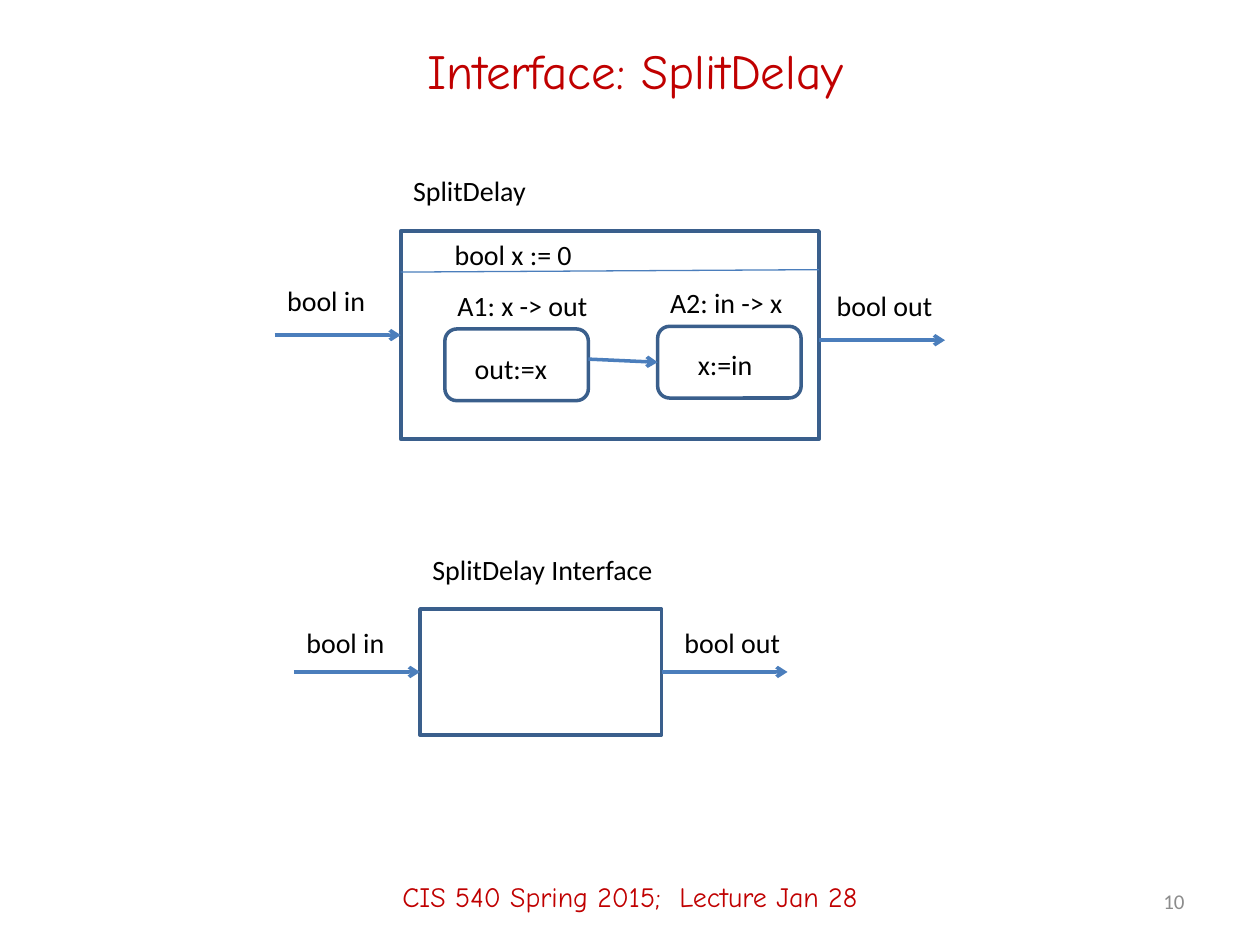
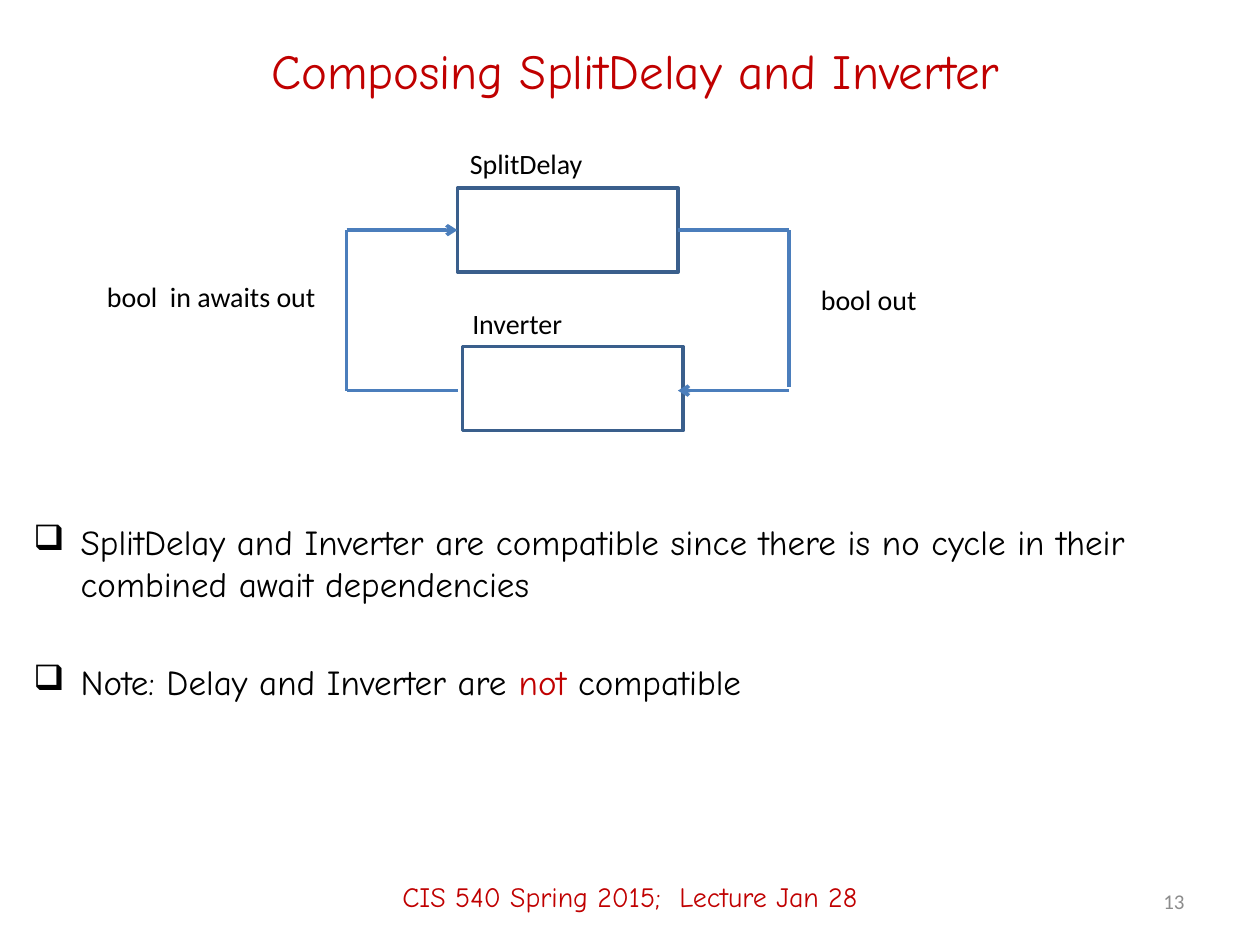
from lxml.etree import SubElement
from pptx import Presentation
from pptx.dml.color import RGBColor
from pptx.enum.shapes import MSO_CONNECTOR, MSO_SHAPE
from pptx.enum.text import MSO_ANCHOR, PP_ALIGN
from pptx.oxml.ns import qn
from pptx.util import Pt

COLORS = {"red": "C00000", "black": "000000", "gray": "8C8C8C",
          "outline": "3A5F8C", "wire": "4B7EBC"}
FORMATS = {
    "title": {"name": "Comic Neue", "size": Pt(28)},
    "body": {"name": "Comic Neue", "size": Pt(20)},
    "footer": {"name": "Comic Neue", "size": Pt(16)},
    "label": {"name": "Calibri", "size": Pt(16)},
    "number": {"name": "Calibri", "size": Pt(12)},
}
FOOTER = "CIS 540 Spring 2015;  Lecture Jan 28"
TOP, LEFT, BOTTOM, RIGHT = range(4)
LABEL_HEIGHT = 26.6
BULLET_INDENT = 27


def color(name):
    return RGBColor.from_string(COLORS[name])


def add_run(paragraph, text, style, color_name="black"):
    run = paragraph.add_run()
    run.text = text
    for attribute, value in FORMATS[style].items():
        setattr(run.font, attribute, value)
    run.font.color.rgb = color(color_name)


def add_text(slide, box, text, style, color_name="black", align=PP_ALIGN.LEFT,
             anchor=MSO_ANCHOR.MIDDLE, wrap=True):
    shape = slide.shapes.add_textbox(*map(Pt, box))
    frame = shape.text_frame
    frame.word_wrap = wrap
    frame.vertical_anchor = anchor
    frame.paragraphs[0].alignment = align
    add_run(frame.paragraphs[0], text, style, color_name)


def add_label(slide, left, top, width, text):
    add_text(slide, (left, top, width, LABEL_HEIGHT), text, "label",
             anchor=MSO_ANCHOR.TOP, wrap=False)


def add_block(slide, left, top, width, height, kind=MSO_SHAPE.RECTANGLE):
    shape = slide.shapes.add_shape(kind, *map(Pt, (left, top, width, height)))
    shape.shadow.inherit = False
    shape.fill.background()
    shape.line.color.rgb = color("outline")
    shape.line.width = Pt(2)
    return shape


def add_wire(slide, begin, end, arrow=False, width=2, begin_joint=None, end_joint=None):
    """Draw a line between two points; a joint is a (shape, side) pair."""
    wire = slide.shapes.add_connector(MSO_CONNECTOR.STRAIGHT, *map(Pt, begin + end))
    if begin_joint:
        wire.begin_connect(*begin_joint)
    if end_joint:
        wire.end_connect(*end_joint)
    wire.line.color.rgb = color("wire")
    wire.line.width = Pt(width)
    if arrow:
        SubElement(wire.line._get_or_add_ln(), qn("a:tailEnd"), type="arrow")
    SubElement(wire._element.spPr, qn("a:effectLst"))


def add_bullets(slide, box, items, gap):
    """Write checkbox bullets; each item is a list of (text, color) runs."""
    frame = slide.shapes.add_textbox(*map(Pt, box)).text_frame
    frame.word_wrap = True
    for index, runs in enumerate(items):
        paragraph = frame.add_paragraph() if index else frame.paragraphs[0]
        properties = paragraph._p.get_or_add_pPr()
        properties.set("marL", str(Pt(BULLET_INDENT)))
        properties.set("indent", str(-Pt(BULLET_INDENT)))
        SubElement(properties, qn("a:buChar"), char="❑")
        if index:
            paragraph.space_before = Pt(gap)
        for text, color_name in runs:
            add_run(paragraph, text, "body", color_name)


def add_base_slide(presentation, title, number):
    slide = presentation.slides.add_slide(presentation.slide_layouts[6])
    add_text(slide, (54, 12, 618, 56), title, "title", "red", PP_ALIGN.CENTER)
    add_text(slide, (0, 484, 720, 56), FOOTER, "footer", "red", PP_ALIGN.CENTER)
    add_text(slide, (516, 500.4, 168, 28.8), str(number), "number", "gray", PP_ALIGN.RIGHT)
    return slide


def add_interface_slide(presentation):
    slide = add_base_slide(presentation, "Interface: SplitDelay", 10)

    component = add_block(slide, 229, 132, 239, 119)
    add_wire(slide, (157, 191.5), (229, 191.5), arrow=True, end_joint=(component, LEFT))
    add_wire(slide, (468, 194.4), (540, 194.4), arrow=True)
    add_wire(slide, (229, 155.5), (468, 154.1), width=0.75)
    task_out = add_block(slide, 254.2, 188, 82, 41, MSO_SHAPE.ROUNDED_RECTANGLE)
    task_in = add_block(slide, 375.8, 186.5, 82, 41, MSO_SHAPE.ROUNDED_RECTANGLE)
    add_wire(slide, (336.2, 205.2), (375.8, 207), arrow=True, end_joint=(task_in, LEFT))

    interface = add_block(slide, 240, 348, 138, 72)
    add_wire(slide, (168, 384), (240, 384), arrow=True, end_joint=(interface, LEFT))
    add_wire(slide, (378, 384), (450, 384), arrow=True, begin_joint=(interface, RIGHT))

    for label in [
        (229, 95.8, 80, "SplitDelay"),
        (252.7, 132, 82, "bool x := 0"),
        (157, 158.4, 60, "bool in"),
        (471, 161.5, 70, "bool out"),
        (254.2, 161.5, 90, "A1: x -> out"),
        (375.8, 159.8, 79, "A2: in -> x"),
        (264.2, 197.5, 60, "out:=x"),
        (391.7, 195.1, 50, "x:=in"),
        (240, 312, 142, "SplitDelay Interface"),
        (168, 354, 60, "bool in"),
        (384, 354, 70, "bool out"),
    ]:
        add_label(slide, *label)


def add_composition_slide(presentation):
    slide = add_base_slide(presentation, "Composing SplitDelay and Inverter", 13)

    left, right, upper, lower = 198, 451, 131.5, 223.2
    split_delay = add_block(slide, 261.4, 107.4, 126, 48.2)
    add_block(slide, 264.2, 198, 126, 48.2)
    add_wire(slide, (left, upper), (261.4, upper), arrow=True, end_joint=(split_delay, LEFT))
    add_wire(slide, (387.4, upper), (right, upper), begin_joint=(split_delay, RIGHT))
    add_wire(slide, (left, upper), (left, lower))
    add_wire(slide, (right, upper), (right, 221))
    add_wire(slide, (right, lower), (387.4, lower), arrow=True)
    add_wire(slide, (left, lower), (262, lower))

    for label in [
        (261.4, 80, 80, "SplitDelay"),
        (262.8, 171.4, 67, "Inverter"),
        (462, 157.7, 168, "bool out"),
        (54, 156.2, 135.4, "bool  in awaits out"),
    ]:
        add_label(slide, *label)

    add_bullets(slide, (12, 294, 684, 120), [
        [("SplitDelay and Inverter are compatible since there is no cycle in their "
          "combined await dependencies", "black")],
        [("Note: Delay and Inverter are ", "black"), ("not ", "red"), ("compatible", "black")],
    ], gap=32)


def main():
    presentation = Presentation()
    presentation.slide_width, presentation.slide_height = Pt(720), Pt(540)
    add_interface_slide(presentation)
    add_composition_slide(presentation)
    presentation.save("out.pptx")


if __name__ == "__main__":
    main()
